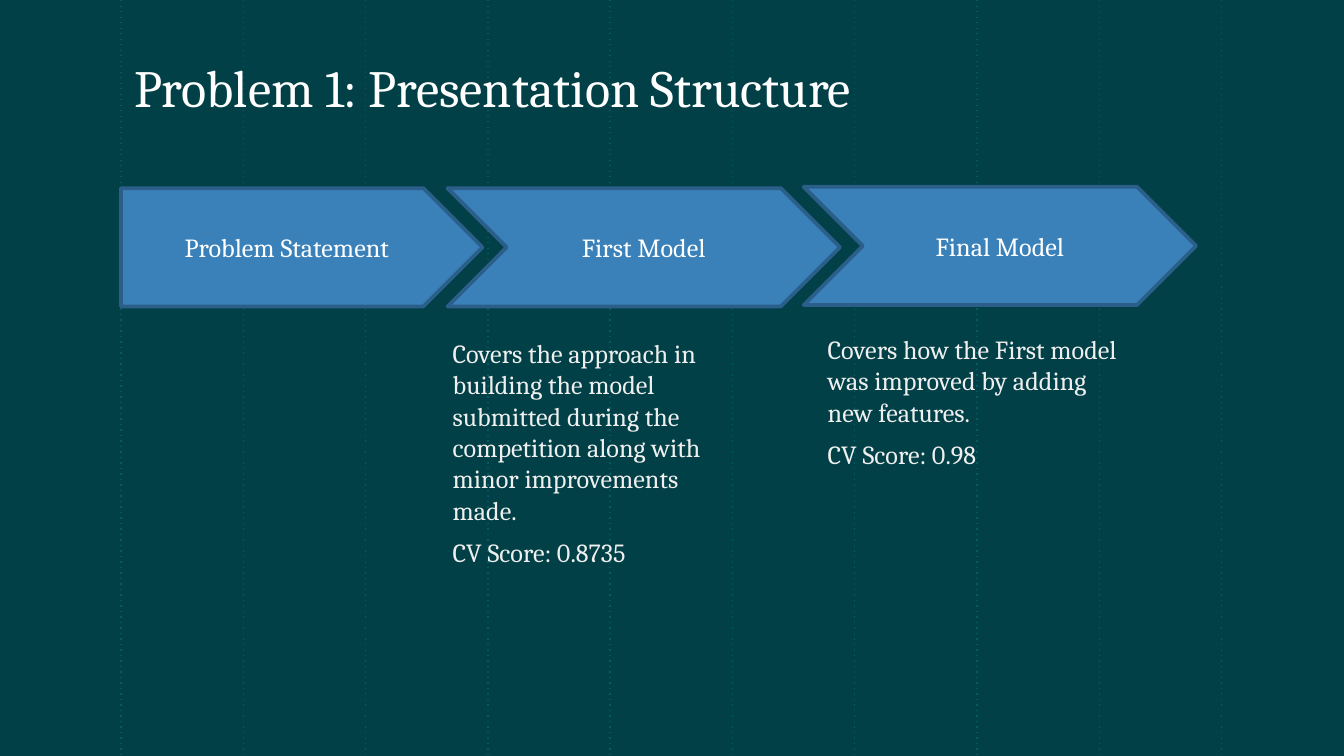
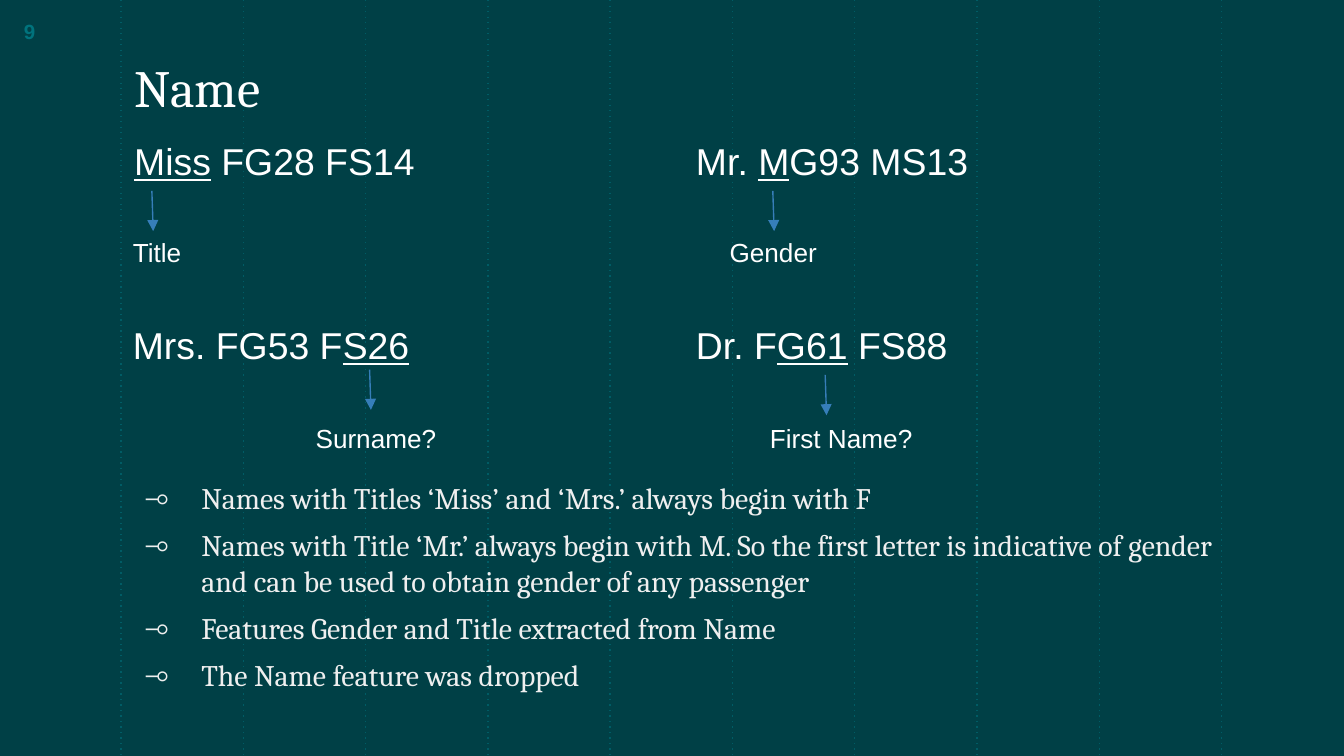
from lxml.etree import SubElement
from pptx import Presentation
from pptx.dml.color import RGBColor
from pptx.enum.shapes import MSO_CONNECTOR, MSO_SHAPE
from pptx.enum.text import MSO_ANCHOR, MSO_AUTO_SIZE, PP_ALIGN
from pptx.oxml.ns import qn
from pptx.util import Inches, Pt

# Look
HEX = {"back": "004046", "rule": "005C65", "page": "00737D", "white": "FFFFFF",
       "pale": "EFEFEF", "step": "3A81BA", "edge": "2B5F8A", "arrow": "367EB9"}
WIDE = 10
HIGH = WIDE * 9 / 16
RULES = [0.9 + 0.91 * i for i in range(10)]
HEAD = {"name": "Cambria", "size": Pt(28), "color": "white"}
STEP = {"name": "Cambria", "size": Pt(14), "color": "white"}
NOTE = {"name": "Cambria", "size": Pt(14), "color": "pale"}
LIST = {"name": "Cambria", "size": Pt(16), "color": "pale"}
NAME = {"name": "Arial", "size": Pt(20), "color": "white"}
TAG = {"name": "Arial", "size": Pt(14), "color": "white"}
PAGE = {"name": "Arial", "size": Pt(11), "bold": True, "color": "page"}

# Slide 1: steps as (text, preset, box), notes as (box, lines)
STEPS = [
    ("Problem Statement", MSO_SHAPE.PENTAGON, (0.9, 1.4, 2.69, 0.88)),
    ("First Model", MSO_SHAPE.CHEVRON, (3.33, 1.4, 2.92, 0.88)),
    ("Final Model", MSO_SHAPE.CHEVRON, (5.98, 1.39, 2.92, 0.88)),
]
NOTES = [
    ((3.19, 2.41, 2.46, 2.21),
     ["Covers the approach in building the model submitted during the "
      "competition along with minor improvements made.", "CV Score: 0.8735"]),
    ((5.98, 2.38, 2.48, 1.18),
     ["Covers how the First model was improved by adding new features.",
      "CV Score: 0.98"]),
]

# Slide 2: (before, underlined, after), name box, arrow start, tag, tag box
NAMES = [
    (("", "Miss", " FG28 FS14"), (0.9, 0.98, 2.71, 0.44),
     (1.13, 1.42), "Title", (0.89, 1.71, 0.81, 0.34)),
    (("Mr. ", "M", "G93 MS13"), (5.08, 0.98, 2.71, 0.44),
     (5.75, 1.42), "Gender", (5.33, 1.71, 0.87, 0.34)),
    (("Mrs. FG53 F", "S26", ""), (0.89, 2.35, 2.71, 0.44),
     (2.75, 2.75), "Surname?", (2.25, 3.09, 1.13, 0.34)),
    (("Dr. F", "G61", " FS88"), (5.08, 2.35, 2.13, 0.44),
     (6.14, 2.79), "First Name?", (5.63, 3.09, 1.31, 0.34)),
]
POINTS = [
    "Names with Titles ‘Miss’ and ‘Mrs.’ always begin with F",
    "Names with Title ‘Mr.’ always begin with M. So the first letter is "
    "indicative of gender and can be used to obtain gender of any passenger",
    "Features Gender and Title extracted from Name",
    "The Name feature was dropped",
]


def tint(key):
    return RGBColor.from_string(HEX[key])


def put(item, values):
    for key, value in values.items():
        setattr(item, key, value)


def style(run, look):
    put(run.font, {k: v for k, v in look.items() if k != "color"})
    run.font.color.rgb = tint(look["color"])


def write(par, parts, look):
    """Add runs to a paragraph; the second part is underlined."""
    for i, part in enumerate(parts):
        if part:
            run = par.add_run()
            run.text = part
            style(run, look)
            if i == 1:
                run.font.underline = True


def text(slide, box, lines, look, pad=0.1, **frame):
    """Add a text box; each line is a tuple of parts. Return its paragraphs."""
    body = slide.shapes.add_textbox(*map(Inches, box)).text_frame
    put(body, {"word_wrap": True, "margin_top": Inches(pad),
               "margin_bottom": Inches(pad), **frame})
    for i, parts in enumerate(lines):
        par = body.add_paragraph() if i else body.paragraphs[0]
        write(par, parts, look)
    return body.paragraphs


def indent(par, left, hang=0, mark=None):
    par.space_before = Pt(6)
    props = par._p.get_or_add_pPr()
    props.set("marL", str(Inches(left)))
    props.set("indent", str(Inches(hang)))
    if mark:
        color = SubElement(props, qn("a:buClr"))
        SubElement(color, qn("a:srgbClr"), val=HEX["pale"])
        SubElement(props, qn("a:buFont"), typeface="Cambria")
        SubElement(props, qn("a:buChar"), char=mark)


def line(slide, start, end, color, part, kind):
    """Add a line with one extra line property, such as a dash or arrowhead."""
    rule = slide.shapes.add_connector(
        MSO_CONNECTOR.STRAIGHT, *map(Inches, (*start, *end)))
    rule.line.color.rgb = tint(color)
    rule.line.width = Pt(0.75)
    SubElement(rule.line._ln, qn(part), **kind)
    SubElement(rule._element.spPr, qn("a:effectLst"))


def base(deck, title, width):
    """Add a slide with the shared background, rules and title."""
    slide = deck.slides.add_slide(deck.slide_layouts[6])
    slide.background.fill.solid()
    slide.background.fill.fore_color.rgb = tint("back")
    for x in RULES:
        line(slide, (x, 0), (x, HIGH), "rule", "a:prstDash", {"val": "dot"})
    text(slide, (0.9, 0.2, width, 0.78), [(title,)], HEAD,
         vertical_anchor=MSO_ANCHOR.BOTTOM)
    return slide


def plan(deck):
    slide = base(deck, "Problem 1: Presentation Structure", 6.13)
    for label, kind, box in STEPS:
        step = slide.shapes.add_shape(kind, *map(Inches, box))
        step.shadow.inherit = False
        step.fill.solid()
        step.fill.fore_color.rgb = tint("step")
        step.line.color.rgb = tint("edge")
        step.line.width = Pt(2)
        step.text_frame.vertical_anchor = MSO_ANCHOR.MIDDLE
        par = step.text_frame.paragraphs[0]
        par.alignment = PP_ALIGN.CENTER
        write(par, (label,), STEP)
    for box, lines in NOTES:
        for par in text(slide, box, [(row,) for row in lines], NOTE):
            indent(par, 0.08)


def names(deck):
    slide = base(deck, "Name", 5.65)
    grow = {"pad": 0.05, "auto_size": MSO_AUTO_SIZE.SHAPE_TO_FIT_TEXT}
    # Names, arrows and tags
    for parts, box, (x, y), tag, spot in NAMES:
        text(slide, box, [parts], NAME, **grow)
        line(slide, (x, y), (x + 0.01, y + 0.3), "arrow",
             "a:tailEnd", {"type": "triangle"})
        text(slide, spot, [(tag,)], TAG, **grow)
    # Findings
    rows = [(point,) for point in POINTS]
    for par in text(slide, (0.9, 3.47, 8.6, 1.77), rows, LIST):
        indent(par, 0.5, -0.42, "⊸")
    # Page number
    text(slide, (0.08, 0.09, 0.5, 0.3), [("9",)], PAGE, pad=0.05)


def main():
    deck = Presentation()
    put(deck, {"slide_width": Inches(WIDE), "slide_height": Inches(HIGH)})
    plan(deck)
    names(deck)
    deck.save("out.pptx")


if __name__ == "__main__":
    main()
